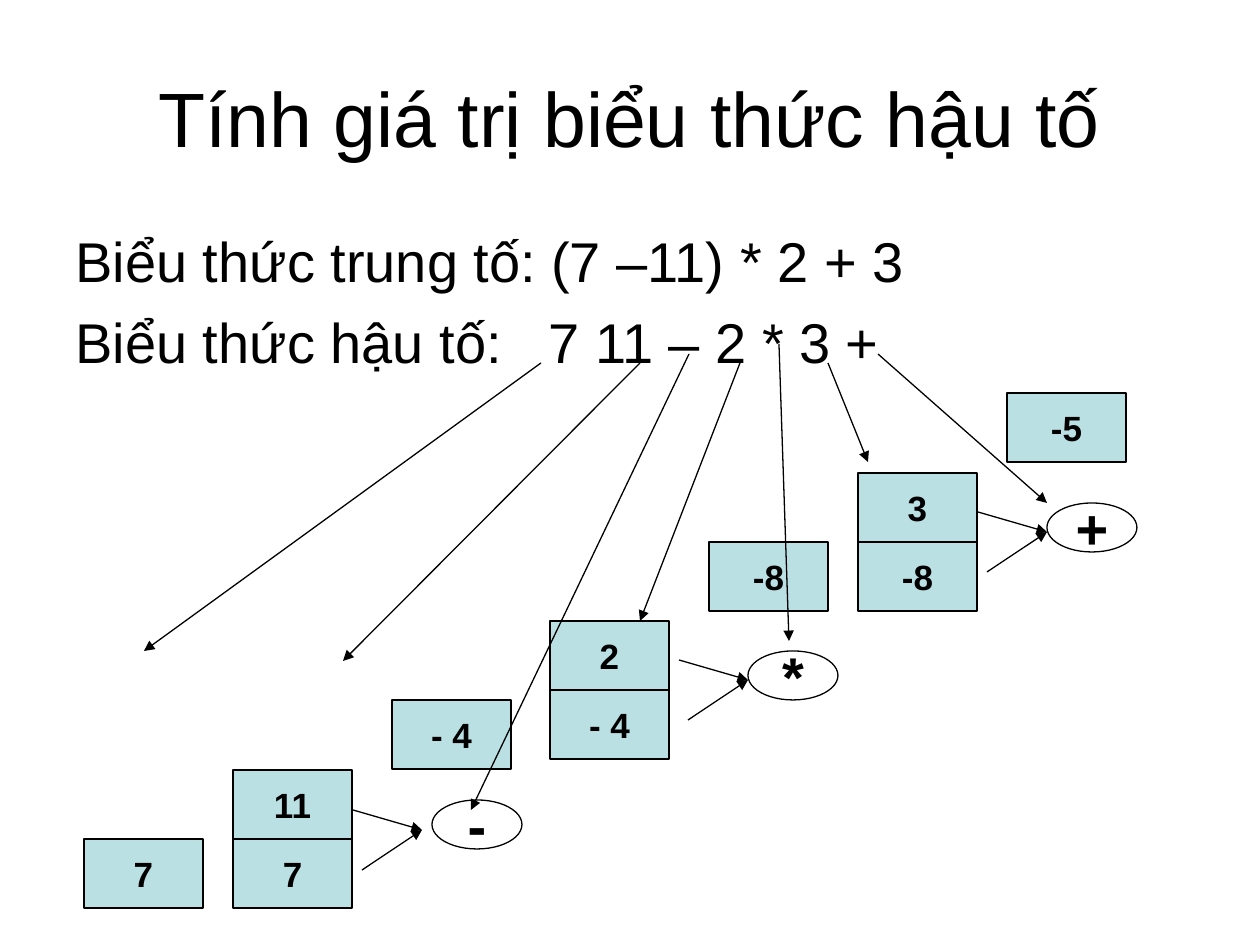
from pptx import Presentation
from pptx.dml.color import RGBColor
from pptx.enum.shapes import MSO_CONNECTOR, MSO_SHAPE
from pptx.enum.text import MSO_ANCHOR, PP_ALIGN
from pptx.oxml.ns import qn
from pptx.util import Pt
from lxml import etree

LINE = MSO_CONNECTOR.STRAIGHT
RECT, OVAL = MSO_SHAPE.RECTANGLE, MSO_SHAPE.OVAL
MID, TOP = MSO_ANCHOR.MIDDLE, MSO_ANCHOR.TOP
MITTE, LEFT = PP_ALIGN.CENTER, PP_ALIGN.LEFT

PX = 914400 / 126
HEX = {"ink": "000000", "box": "BBE0E3", "oval": "FFFFFF"}
RGB = {name: RGBColor.from_string(code) for name, code in HEX.items()}


def px(*nums):
    return [round(n * PX) for n in nums]


def write(par, text, size, bold=False, align=MITTE):
    par.text = text
    par.alignment = align
    look = {"name": "Arial", "size": Pt(size), "bold": bold}
    for key, val in look.items():
        setattr(par.font, key, val)
    par.font.color.rgb = RGB["ink"]


deck = Presentation()
deck.slide_width, deck.slide_height = px(1260, 945)
slide = deck.slides.add_slide(deck.slide_layouts[5])
shapes = slide.shapes

# Title
title = shapes.title
title.left, title.top, title.width, title.height = px(63, 38, 1134, 157)
title.text_frame.vertical_anchor = MID
write(title.text_frame.paragraphs[0], "Tính giá trị biểu thức hậu tố", 44)

# Infix and postfix expressions, the latter set at a tab stop
body = shapes.add_textbox(*px(63, 220, 1134, 624)).text_frame
body.word_wrap = True
body.vertical_anchor = TOP
infix, post = body.paragraphs[0], body.add_paragraph()
write(infix, "Biểu thức trung tố: (7 –11) * 2 + 3", 32, align=LEFT)
tabs = etree.SubElement(post._p.get_or_add_pPr(), qn("a:tabLst"))
etree.SubElement(tabs, qn("a:tab"), pos=str(px(473)[0]), algn="l")
write(post, "Biểu thức hậu tố:\t7 11 – 2 * 3 +", 32, align=LEFT)
post.space_before = Pt(8)

# Stack states: left, top of the lowest cell, values from the bottom up
WIDE, HIGH = 119, 69
stacks = [
    (84, 839, ["7"]),
    (233, 839, ["7", "11"]),
    (392, 700, ["- 4"]),
    (550, 690, ["- 4", "2"]),
    (709, 542, ["-8"]),
    (858, 542, ["-8", "3"]),
    (1007, 393, ["-5"]),
]
nodes = [
    (RECT, "box", 20, (x, y - i * HIGH, WIDE, HIGH), val)
    for x, y, vals in stacks
    for i, val in enumerate(vals)
]

# Operators
nodes += [
    (OVAL, "oval", 32, (x, y, 90, 49), sign)
    for x, y, sign in [(432, 800, "-"), (748, 651, "*"), (1047, 503, "+")]
]

for kind, fill, size, area, text in nodes:
    node = shapes.add_shape(kind, *px(*area))
    node.shadow.inherit = False
    node.fill.solid()
    node.fill.fore_color.rgb = RGB[fill]
    node.line.color.rgb = RGB["ink"]
    node.line.width = Pt(0.75)
    node.text_frame.word_wrap = False
    node.text_frame.vertical_anchor = MID
    write(node.text_frame.paragraphs[0], text, size, bold=True)

# Two operands feed each operator
arrows = []
for x, y in [(422, 830), (748, 680), (1047, 532)]:
    arrows += [(x - 69, y - 20, x, y), (x - 60, y + 40, x, y)]

# Each symbol of the postfix expression points to its step
arrows += [
    (541, 363, 144, 651),
    (640, 363, 343, 661),
    (689, 354, 471, 810),
    (740, 363, 640, 621),
    (779, 344, 789, 641),
    (828, 363, 868, 462),
    (878, 354, 1047, 503),
]

for ends in arrows:
    arrow = shapes.add_connector(LINE, *px(*ends))
    arrow.line.color.rgb = RGB["ink"]
    arrow.line.width = Pt(0.75)
    etree.SubElement(arrow.line._get_or_add_ln(), qn("a:tailEnd"), type="triangle")
    etree.SubElement(arrow._element.spPr, qn("a:effectLst"))

deck.save("out.pptx")
